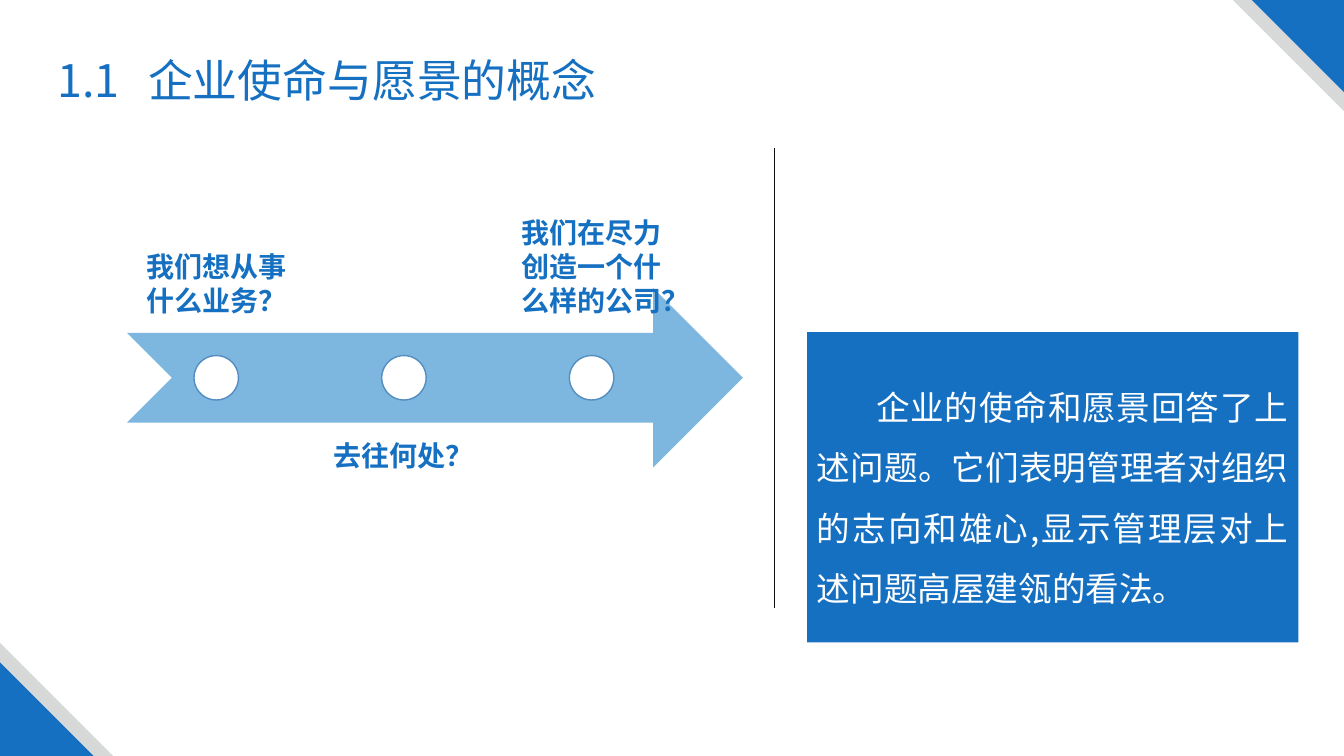
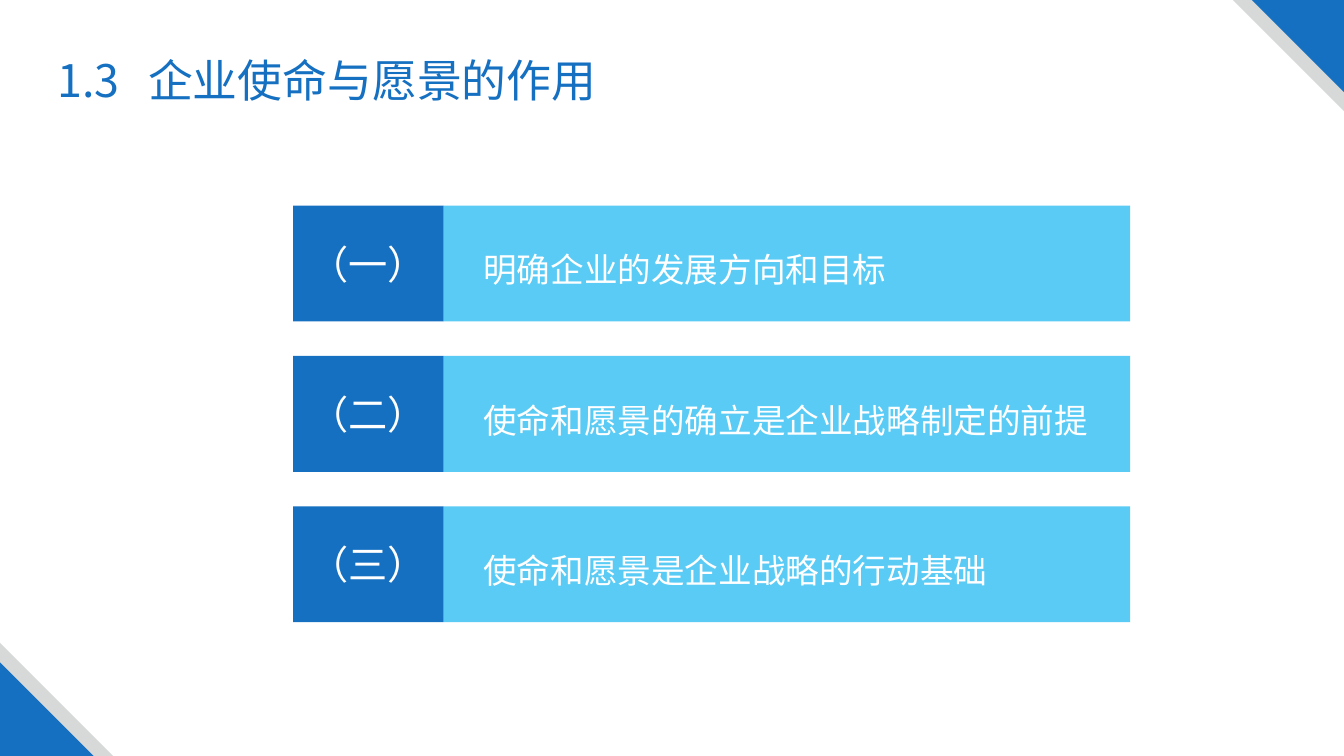
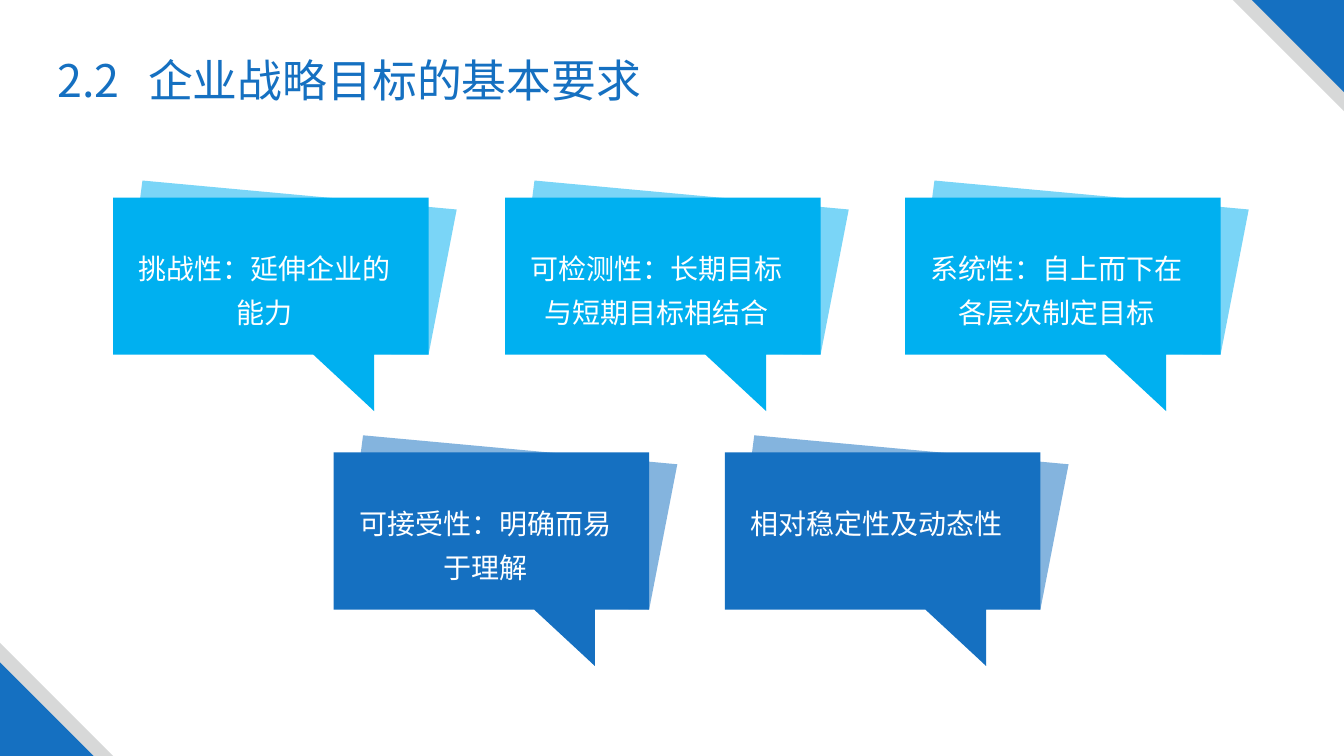
from lxml import etree
from pptx import Presentation
from pptx.dml.color import RGBColor
from pptx.enum.shapes import MSO_CONNECTOR, MSO_SHAPE
from pptx.enum.text import MSO_ANCHOR, MSO_AUTO_SIZE, PP_ALIGN
from pptx.oxml.ns import qn
from pptx.util import Cm, Pt

FONT = "Noto Sans CJK SC"
BLUE, SKY, GREY, WHITE = "1570C1", "00B0F0", "D7D8D8", "FFFFFF"
WIDTH, HEIGHT = 33.87, 19.05

CALLOUT = [(7.95, 0), (0, 0), (0, 3.96), (5.05, 3.96), (6.58, 5.38),
           (6.58, 3.96), (7.95, 3.96)]
BACKDROP = [(8.66, 0.3), (0.74, -0.43), (0.23, 3.53), (5.26, 3.86),
            (6.58, 5.38), (6.45, 3.94), (7.95, 3.96)]


def rgb(hex_colour):
    return RGBColor.from_string(hex_colour)


def paint(shape, colour, opacity=100, outline=None):
    shape.shadow.inherit = False
    shape.fill.solid()
    shape.fill.fore_color.rgb = rgb(colour)
    if opacity < 100:
        colour_element = shape.fill._xPr.find(".//" + qn("a:srgbClr"))
        etree.SubElement(colour_element, qn("a:alpha"), val=str(opacity * 1000))
    if outline:
        shape.line.color.rgb = rgb(outline)
        shape.line.width = Pt(1)
    else:
        shape.line.fill.background()


def add_preset(slide, preset, left, top, width, height, colour, opacity=100, outline=None):
    shape = slide.shapes.add_shape(preset, Cm(left), Cm(top), Cm(width), Cm(height))
    paint(shape, colour, opacity, outline)
    return shape


def add_outline(slide, left, top, points, colour, opacity=100):
    """Draw a closed freeform from points measured from (left, top)."""
    corners = [(Cm(left + x), Cm(top + y)) for x, y in points]
    builder = slide.shapes.build_freeform(*corners[0])
    builder.add_line_segments(corners[1:], close=True)
    paint(builder.convert_to_shape(), colour, opacity)


def write(shape, text, size, colour=WHITE, bold=False, align=PP_ALIGN.LEFT,
          anchor=MSO_ANCHOR.TOP, spacing=None):
    """Fill a shape with one styled paragraph and return that paragraph."""
    frame = shape.text_frame
    frame.text = text
    frame.word_wrap = True
    frame.auto_size = MSO_AUTO_SIZE.NONE
    frame.vertical_anchor = anchor
    paragraph = frame.paragraphs[0]
    paragraph.alignment = align
    if spacing:
        paragraph.line_spacing = spacing
    for run in paragraph.runs:
        run.font.size = Pt(size)
        run.font.bold = bold
        run.font.color.rgb = rgb(colour)
        run.font.name = FONT
        latin = run._r.rPr.find(qn("a:latin"))
        latin.addnext(latin.makeelement(qn("a:ea"), {"typeface": FONT}))
    return paragraph


def add_label(slide, left, top, width, height, text, size, inset=None, **style):
    label = slide.shapes.add_textbox(Cm(left), Cm(top), Cm(width), Cm(height))
    write(label, text, size, **style)
    if inset:
        frame = label.text_frame
        frame.margin_left = frame.margin_right = Cm(inset)
        frame.margin_top = frame.margin_bottom = Cm(inset)


def add_corners(slide):
    for size, colour in ((2.8, GREY), (2.32, BLUE)):
        corner = add_preset(slide, MSO_SHAPE.RIGHT_TRIANGLE,
                            WIDTH - size, 0, size, size, colour)
        corner.rotation = 180
    for size, colour in ((2.85, GREY), (2.36, BLUE)):
        add_preset(slide, MSO_SHAPE.RIGHT_TRIANGLE,
                   0, HEIGHT - size, size, size, colour)


def new_slide(prs, number, heading):
    slide = prs.slides.add_slide(prs.slide_layouts[5])
    title = slide.shapes.title
    title.left, title.top, title.width, title.height = Cm(1.19), Cm(1.19), Cm(18.4), Cm(1.63)
    paragraph = write(title, f"{number}\t{heading}", 32, BLUE)
    tabs = etree.SubElement(paragraph._p.get_or_add_pPr(), qn("a:tabLst"))
    etree.SubElement(tabs, qn("a:tab"), pos=str(Cm(2.29)), algn="l")
    add_corners(slide)
    return slide


def build_concept(prs):
    slide = new_slide(prs, "1.1", "企业使命与愿景的概念")
    add_preset(slide, MSO_SHAPE.NOTCHED_RIGHT_ARROW, 3.2, 7.26, 15.52, 4.52, "0070C0", 51)
    questions = [
        ("我们想从事什么业务？", 3.89, MSO_ANCHOR.BOTTOM),
        ("去往何处？", 10.64, MSO_ANCHOR.TOP),
        ("我们在尽力创造一个什么样的公司？", 3.89, MSO_ANCHOR.BOTTOM),
    ]
    for index, (question, top, anchor) in enumerate(questions):
        left = 3.2 + index * 4.73
        add_label(slide, left, top, 4.5, 4.5, question, 20, inset=0.41, colour=BLUE,
                  bold=True, align=PP_ALIGN.CENTER, anchor=anchor)
        add_preset(slide, MSO_SHAPE.OVAL, left + 1.69, 8.96, 1.12, 1.12, WHITE,
                   outline="538DC1")

    divider = slide.shapes.add_connector(
        MSO_CONNECTOR.STRAIGHT, Cm(19.51), Cm(3.73), Cm(19.51), Cm(15.32))
    divider.line.color.rgb = rgb("0D0D0D")
    divider.line.width = Pt(0.5)
    etree.SubElement(divider._element.spPr, qn("a:effectLst"))

    answer = add_preset(slide, MSO_SHAPE.RECTANGLE, 20.34, 8.37, 12.38, 7.82, BLUE)
    paragraph = write(
        answer,
        "企业的使命和愿景回答了上述问题。它们表明管理者对组织的志向和雄心,"
        "显示管理层对上述问题高屋建瓴的看法。",
        24, align=PP_ALIGN.JUSTIFY, anchor=MSO_ANCHOR.MIDDLE, spacing=1.5)
    paragraph._p.get_or_add_pPr().set("indent", str(Cm(1.49)))


def build_roles(prs):
    slide = new_slide(prs, "1.3", "企业使命与愿景的作用")
    roles = [
        ("（一）", "明确企业的发展方向和目标"),
        ("（二）", "使命和愿景的确立是企业战略制定的前提"),
        ("（三）", "使命和愿景是企业战略的行动基础"),
    ]
    for index, (number, role) in enumerate(roles):
        top = 5.18 + index * 3.79
        badge = add_preset(slide, MSO_SHAPE.RECTANGLE, 7.39, top, 3.79, 2.92, BLUE)
        write(badge, number, 28, align=PP_ALIGN.CENTER, anchor=MSO_ANCHOR.MIDDLE)
        bar = add_preset(slide, MSO_SHAPE.RECTANGLE, 11.18, top, 17.3, 2.92, SKY, 65)
        write(bar, role, 24, anchor=MSO_ANCHOR.MIDDLE, spacing=1.3)
        bar.text_frame.margin_left = Cm(1)


def add_callout(slide, left, top, text, colour):
    add_outline(slide, left, top, BACKDROP, colour, 52)
    add_outline(slide, left, top, CALLOUT, colour)
    add_label(slide, left + 0.25, top + 0.99, 7.14, 2.49, text, 20,
              align=PP_ALIGN.CENTER, spacing=1.3)


def build_requirements(prs):
    slide = new_slide(prs, "2.2", "企业战略目标的基本要求")
    rows = [
        (4.98, SKY, [(2.85, "挑战性：延伸企业的能力"),
                     (12.73, "可检测性：长期目标与短期目标相结合"),
                     (22.81, "系统性：自上而下在各层次制定目标")]),
        (11.4, BLUE, [(8.41, "可接受性：明确而易于理解"),
                      (18.27, "相对稳定性及动态性")]),
    ]
    for top, colour, requirements in rows:
        for left, requirement in requirements:
            add_callout(slide, left, top, requirement, colour)


def main():
    prs = Presentation()
    prs.slide_width, prs.slide_height = Cm(WIDTH), Cm(HEIGHT)
    build_concept(prs)
    build_roles(prs)
    build_requirements(prs)
    prs.save("out.pptx")


if __name__ == "__main__":
    main()
